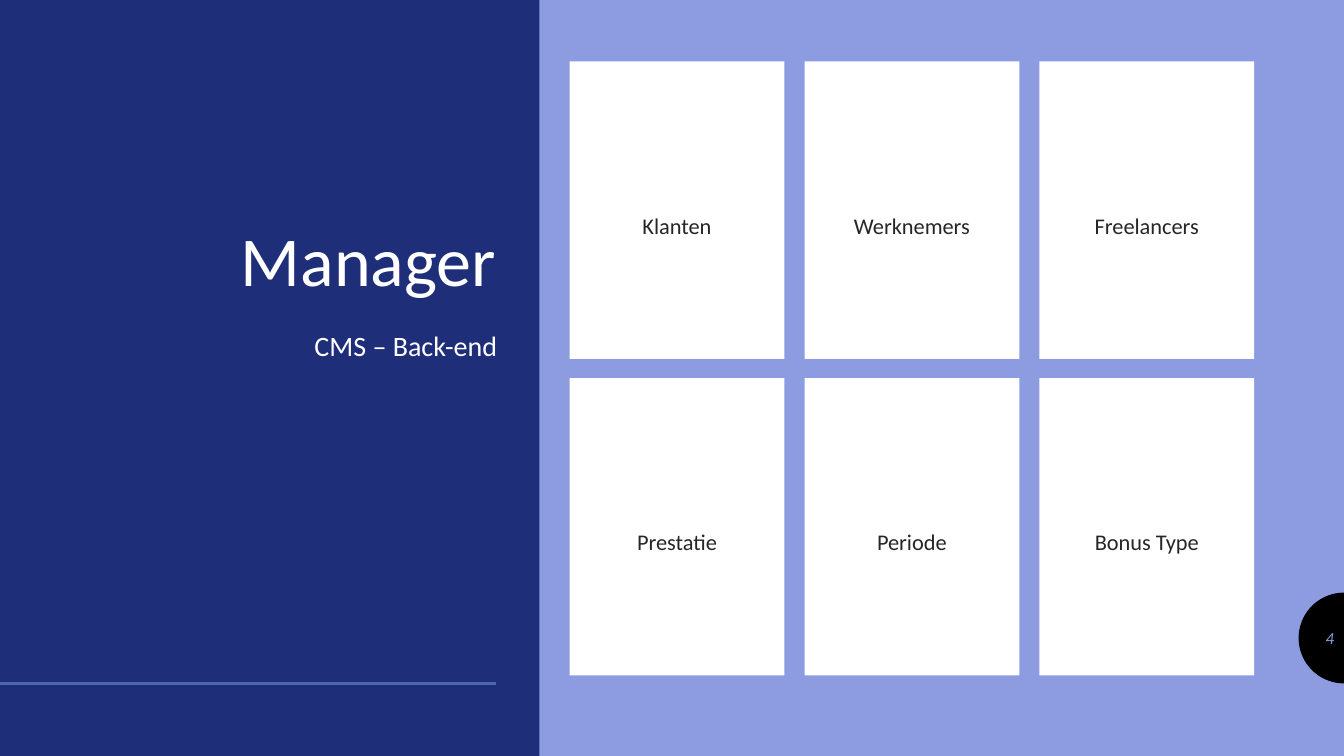
from math import cos, pi, sin

from lxml.etree import SubElement
from pptx import Presentation
from pptx.dml.color import RGBColor
from pptx.enum.shapes import MSO_CONNECTOR as Link, MSO_SHAPE as Kind
from pptx.enum.text import MSO_ANCHOR as Anchor, PP_ALIGN as Align
from pptx.oxml.ns import qn
from pptx.util import Inches, Pt

TITLE = "Manager"
SUBTITLE = "CMS – Back-end"
CARDS = [
    ["Klanten", "Werknemers", "Freelancers"],
    ["Prestatie", "Periode", "Bonus Type"],
]
NUMBER = "4"

FONT = "Calibri"
COLORS = {
    "back": "8D9BE1",
    "panel": "1F2E79",
    "rule": "4A66AC",
    "white": "FFFFFF",
    "ink": "262626",
    "badge": "000000",
}
WIDE, HIGH = 13.33, 7.5
PANEL = 5.35
LEFT, TOP = 5.65, 0.61          # first card
CARD_W, CARD_H = 2.13, 2.95
STEP_X, STEP_Y = 2.33, 3.14     # card plus gap
RADIUS, MIDDLE = 0.45, 6.33     # page number badge
STEPS = 48


def color(name):
    return RGBColor.from_string(COLORS[name])


def paint(shape, name):
    shape.shadow.inherit = False
    shape.fill.solid()
    shape.fill.fore_color.rgb = color(name)
    shape.line.fill.background()


def write(shape, text, size, name, align, anchor=Anchor.TOP, spacing=1.0, italic=False):
    frame = shape.text_frame
    frame.word_wrap = True
    frame.vertical_anchor = anchor
    par = frame.paragraphs[0]
    par.alignment = align
    par.line_spacing = spacing
    run = par.add_run()
    run.text = text
    font = run.font
    font.name, font.size, font.italic = FONT, Pt(size), italic
    font.color.rgb = color(name)


def add_box(shapes, *place):
    return shapes.add_textbox(*map(Inches, place))


def add_panel(shapes):
    panel = shapes.add_shape(Kind.RECTANGLE, 0, 0, Inches(PANEL), Inches(HIGH))
    paint(panel, "panel")
    rule = shapes.add_connector(Link.STRAIGHT, 0, Inches(6.78), Inches(4.92), Inches(6.78))
    rule.line.color.rgb = color("rule")
    rule.line.width = Pt(2)
    SubElement(rule._element.spPr, qn("a:effectLst"))
    write(add_box(shapes, 0.83, TOP, 4.19, 2.43), TITLE, 50, "white",
          Align.RIGHT, Anchor.BOTTOM, 0.9)
    write(add_box(shapes, 0.83, 3.17, 4.2, 3.12), SUBTITLE, 20, "white",
          Align.RIGHT, spacing=1.12)


def add_cards(shapes):
    for row, names in enumerate(CARDS):
        for col, name in enumerate(names):
            place = LEFT + col * STEP_X, TOP + row * STEP_Y, CARD_W, CARD_H
            card = shapes.add_shape(Kind.RECTANGLE, *map(Inches, place))
            paint(card, "white")
            frame = card.text_frame
            frame.margin_left = frame.margin_right = frame.margin_bottom = 0
            frame.margin_top = Inches(1.46)
            write(card, name, 16, "ink", Align.CENTER, spacing=1.12)


def add_badge(shapes):
    """Draw a half disc on the right edge, with the page number."""
    turns = [pi * i / STEPS for i in range(STEPS + 1)]
    points = [(Inches(WIDE - RADIUS * sin(t)), Inches(MIDDLE - RADIUS * cos(t)))
              for t in turns]
    outline = shapes.build_freeform(*points[0])
    outline.add_line_segments(points[1:], close=True)
    paint(outline.convert_to_shape(), "badge")
    write(add_box(shapes, WIDE - RADIUS, MIDDLE - 0.2, RADIUS, 0.4), NUMBER, 12,
          "back", Align.RIGHT, Anchor.MIDDLE, italic=True)


def main():
    deck = Presentation()
    deck.slide_width, deck.slide_height = Inches(WIDE), Inches(HIGH)
    slide = deck.slides.add_slide(deck.slide_layouts[6])
    fill = slide.background.fill
    fill.solid()
    fill.fore_color.rgb = color("back")
    add_panel(slide.shapes)
    add_cards(slide.shapes)
    add_badge(slide.shapes)
    deck.save("out.pptx")


if __name__ == "__main__":
    main()
